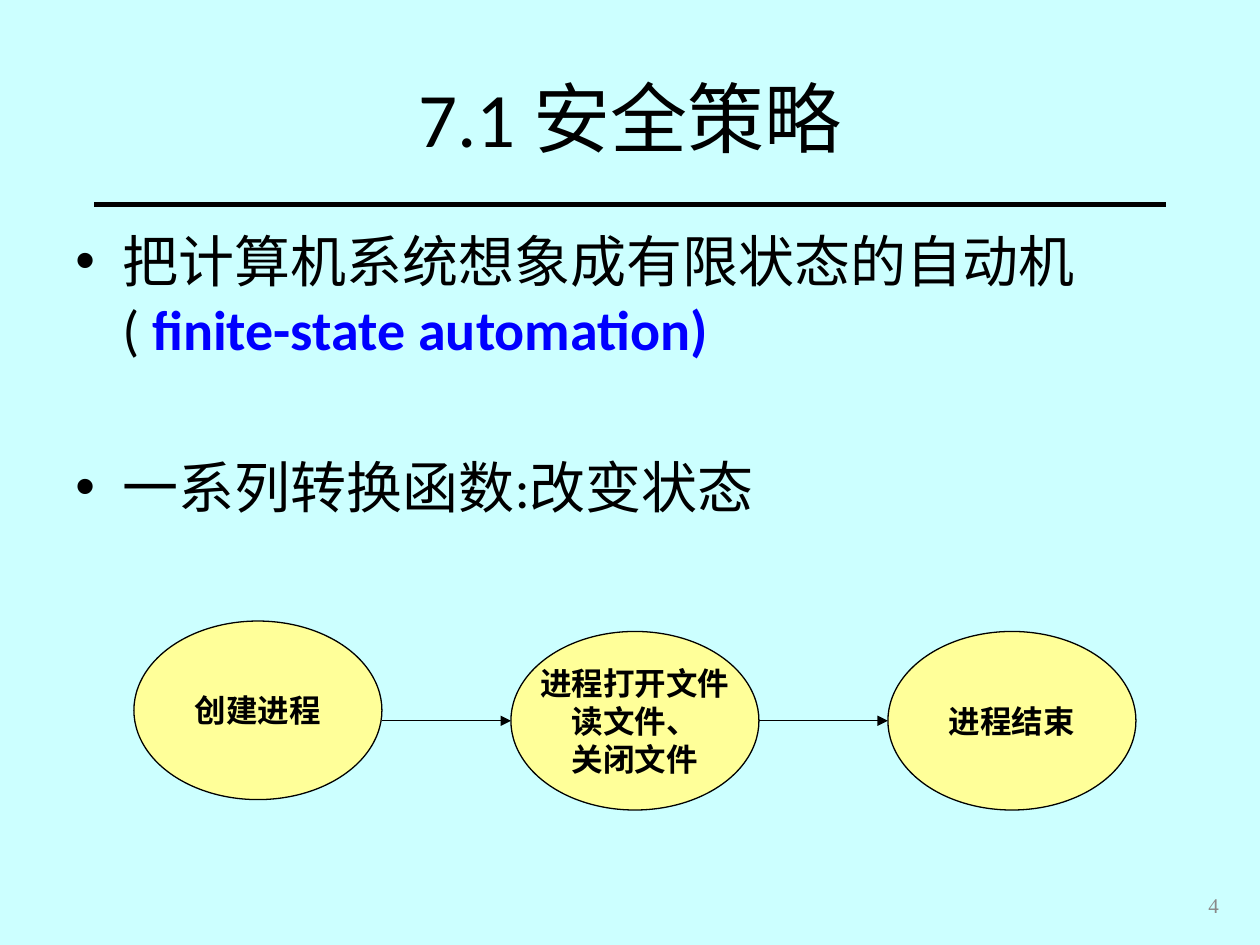
"""Build the security policy slide with its process state diagram."""
from dataclasses import dataclass

import pptx
import pptx.dml.color
import pptx.enum.shapes
import pptx.enum.text
import pptx.oxml.ns
import pptx.util
from lxml import etree

Cm = pptx.util.Cm
Pt = pptx.util.Pt
Align = pptx.enum.text.PP_ALIGN
Anchor = pptx.enum.text.MSO_ANCHOR


@dataclass(frozen=True)
class Theme:
    """Colours, fonts and type sizes of the slide."""
    background: str = "CCFFFF"
    ink: str = "000000"
    term: str = "0000FF"
    state: str = "FFFF99"
    muted: str = "898989"
    sans: str = "Calibri"
    serif: str = "Times New Roman"
    title: int = 44
    body: int = 32
    label: int = 18
    number: int = 12


THEME = Theme()


def rgb(code):
    """Turn a hex code into a colour."""
    return pptx.dml.color.RGBColor.from_string(code)


def add_child(parent, tag, **attributes):
    """Append a DrawingML element to its parent."""
    return etree.SubElement(parent, pptx.oxml.ns.qn(tag), attributes)


def write(paragraph, text, *, size, font=THEME.sans, color=THEME.ink, bold=False, align=None):
    """Add a formatted run to a paragraph."""
    run = paragraph.add_run()
    run.text = text
    run.font.size = Pt(size)
    run.font.name = font
    run.font.bold = bold
    run.font.color.rgb = rgb(color)
    if align is not None:
        paragraph.alignment = align


def add_frame(slide, left, top, width, height, anchor=Anchor.TOP):
    """Add a wrapping text box and return its text frame."""
    frame = slide.shapes.add_textbox(Cm(left), Cm(top), Cm(width), Cm(height)).text_frame
    frame.word_wrap = True
    frame.vertical_anchor = anchor
    return frame


def make_bullet(paragraph, space_before):
    """Give a paragraph a hanging round bullet."""
    paragraph.space_before = Pt(space_before)
    properties = paragraph._p.get_or_add_pPr()
    indent = Cm(0.95)
    properties.set("marL", str(indent))
    properties.set("indent", str(-indent))
    add_child(add_child(properties, "a:buClr"), "a:srgbClr", val=THEME.ink)
    add_child(properties, "a:buFont", typeface="Arial")
    add_child(properties, "a:buChar", char="•")


def add_line(slide, start, end, y, weight, arrow=False):
    """Draw a horizontal line, with an arrowhead at its end if asked."""
    line = slide.shapes.add_connector(
        pptx.enum.shapes.MSO_CONNECTOR.STRAIGHT, Cm(start), Cm(y), Cm(end), Cm(y))
    line.line.color.rgb = rgb(THEME.ink)
    line.line.width = Pt(weight)
    if arrow:
        add_child(line.line._get_or_add_ln(), "a:tailEnd", type="triangle")
    add_child(line._element.spPr, "a:effectLst")


def add_state(slide, lines, left, top, width, height):
    """Draw one process state as a labelled ellipse."""
    state = slide.shapes.add_shape(
        pptx.enum.shapes.MSO_SHAPE.OVAL, Cm(left), Cm(top), Cm(width), Cm(height))
    state.shadow.inherit = False
    state.fill.solid()
    state.fill.fore_color.rgb = rgb(THEME.state)
    state.line.color.rgb = rgb(THEME.ink)
    state.line.width = Pt(0.75)
    frame = state.text_frame
    frame.word_wrap = False
    frame.vertical_anchor = Anchor.MIDDLE
    for index, line in enumerate(lines):
        paragraph = frame.add_paragraph() if index else frame.paragraphs[0]
        write(paragraph, line, size=THEME.label, font=THEME.serif, bold=True, align=Align.CENTER)


def add_process(slide):
    """Lay out the states at an equal pitch and join them with arrows."""
    first, pitch, width, height = 2.7, 7.6, 5, 3.6
    states = [
        (["创建进程"], 12.52),
        (["进程打开文件", "读文件、", "关闭文件"], 12.73),
        (["进程结束"], 12.73),
    ]
    for index, (lines, top) in enumerate(states):
        left = first + index * pitch
        add_state(slide, lines, left, top, width, height)
        if index:
            add_line(slide, left - pitch + width, left, 14.53, 0.75, arrow=True)


def add_points(slide):
    """Write the two bullet points."""
    frame = add_frame(slide, 1.27, 4.45, 22.86, 7.09)
    automaton = frame.paragraphs[0]
    make_bullet(automaton, 8)
    write(automaton, "把计算机系统想象成有限状态的自动机( ", size=THEME.body)
    write(automaton, "finite-state automation)", size=THEME.body, color=THEME.term, bold=True)
    transitions = frame.add_paragraph()
    make_bullet(transitions, 52)
    write(transitions, "一系列转换函数:改变状态", size=THEME.body)


def main():
    """Build and save the slide."""
    deck = pptx.Presentation()
    deck.slide_width, deck.slide_height = Cm(25.4), Cm(19.05)
    slide = deck.slides.add_slide(deck.slide_layouts[6])
    slide.background.fill.solid()
    slide.background.fill.fore_color.rgb = rgb(THEME.background)
    add_line(slide, 1.9, 23.5, 4.12, 3)
    title = add_frame(slide, 1.27, 0.76, 22.86, 3.18, Anchor.MIDDLE)
    write(title.paragraphs[0], "7.1 安全策略", size=THEME.title, align=Align.CENTER)
    add_points(slide)
    number = add_frame(slide, 18.9, 17.73, 5.92, 1.02, Anchor.MIDDLE)
    write(number.paragraphs[0], "4", size=THEME.number, font=THEME.serif,
          color=THEME.muted, align=Align.RIGHT)
    add_process(slide)
    deck.save("out.pptx")


if __name__ == "__main__":
    main()
